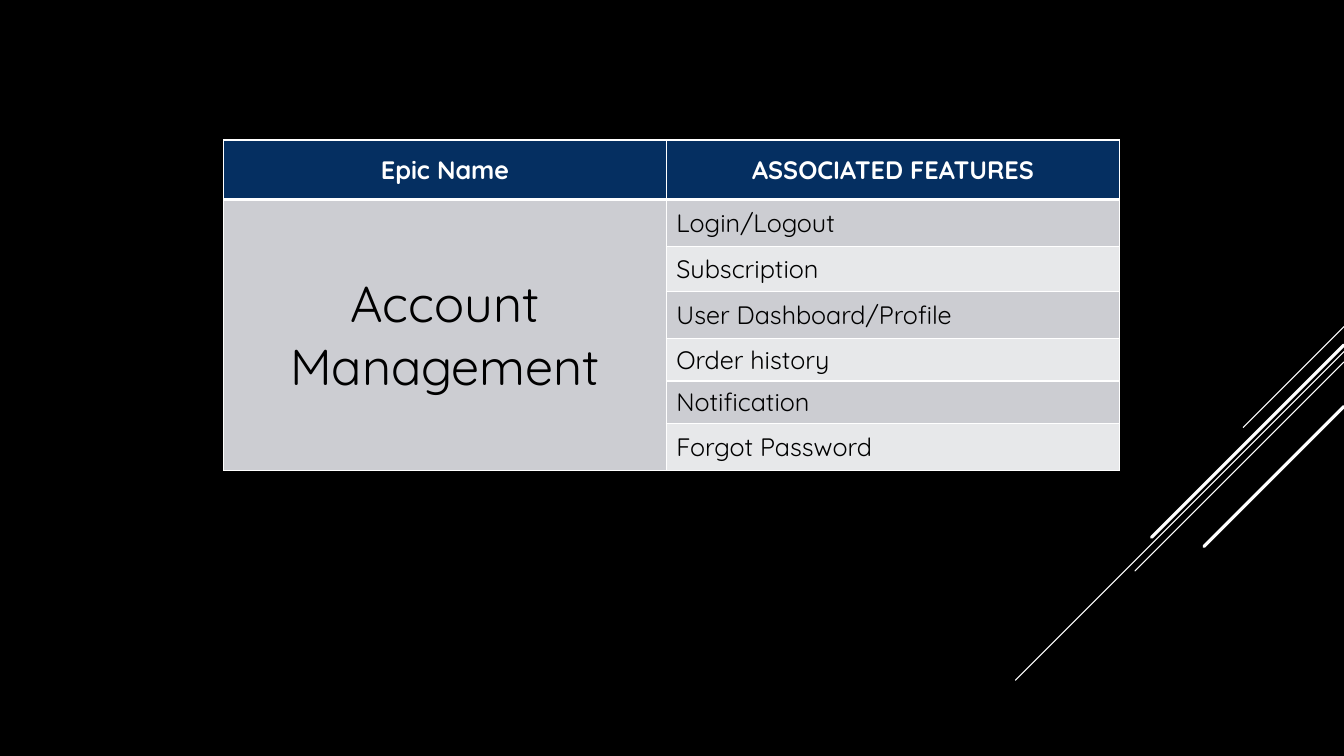
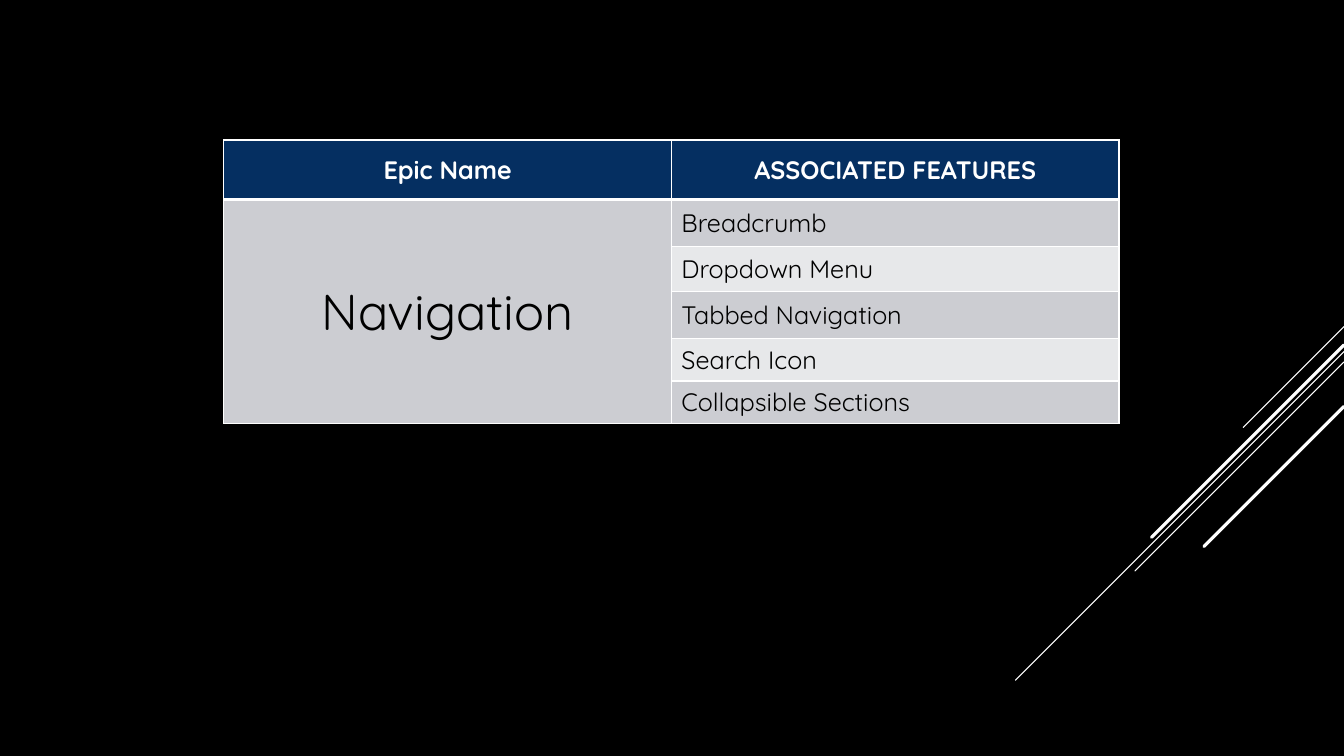
import dataclasses

import pptx
import pptx.dml.color
import pptx.enum.shapes
import pptx.enum.text
import pptx.oxml
import pptx.oxml.ns
import pptx.slide
import pptx.table
import pptx.util

Cm = pptx.util.Cm
Pt = pptx.util.Pt
RGBColor = pptx.dml.color.RGBColor
Align = pptx.enum.text.PP_ALIGN
qn = pptx.oxml.ns.qn

BLACK = RGBColor(0x00, 0x00, 0x00)
WHITE = RGBColor(0xFF, 0xFF, 0xFF)
NAVY = RGBColor(0x05, 0x2F, 0x61)
GREY = RGBColor(0xCC, 0xCD, 0xD2)
PALE = RGBColor(0xE7, 0xE8, 0xEA)
FONT = "Quicksand"

WIDE, HIGH = 33.87, 19.05
LEFT, TOP = 5.64, 3.53
ROWS = (1.5, 1.19, 1.12, 1.19, 1.07, 1.07, 1.19)
HEADS = ("Epic Name", "ASSOCIATED FEATURES")


@dataclasses.dataclass(frozen=True)
class Ray:
    """A 45-degree line running down and left from the right edge, in cm."""
    top: float
    reach: float
    weight: float


@dataclasses.dataclass(frozen=True)
class Epic:
    name: str
    items: tuple[str, ...]
    cols: tuple[float, float]


RAYS = (
    Ray(8.23, 2.54, 0.75),
    Ray(8.86, 8.28, 0.75),
    Ray(9.12, 5.27, 0.75),
    Ray(8.69, 4.85, 2.25),
    Ray(10.24, 3.53, 2.25),
)

EPICS = (
    Epic("Account\nManagement",
         ("Login/Logout", "Subscription", "User Dashboard/Profile",
          "Order history", "Notification", "Forgot Password"),
         (11.15, 11.43)),
    Epic("Navigation",
         ("Breadcrumb", "Dropdown Menu", "Tabbed Navigation",
          "Search Icon", "Collapsible Sections"),
         (11.28, 11.28)),
)


def write(cell: pptx.table._Cell, text: str, *, size: float = 18,
          color: RGBColor = BLACK, bold: bool = False,
          align: Align = Align.LEFT) -> None:
    cell.text = text
    cell.vertical_anchor = pptx.enum.text.MSO_ANCHOR.MIDDLE
    for para in cell.text_frame.paragraphs:
        para.alignment = align
        for run in para.runs:
            font = run.font
            font.name, font.size, font.bold = FONT, Pt(size), bold
            font.color.rgb = color


def paint(cell: pptx.table._Cell, fill: RGBColor, *, top: float = 1,
          base: float = 1) -> None:
    """Fill a cell and rule its four sides in white."""
    cell.fill.solid()
    cell.fill.fore_color.rgb = fill
    props = cell._tc.get_or_add_tcPr()
    sides = (("L", 1), ("R", 1), ("T", top), ("B", base))
    for spot, (side, weight) in enumerate(sides):
        props.insert(spot, pptx.oxml.parse_xml(
            f'<a:ln{side} {pptx.oxml.ns.nsdecls("a")} w="{Pt(weight)}">'
            f'<a:solidFill><a:srgbClr val="{WHITE}"/></a:solidFill>'
            f'</a:ln{side}>'))


def add_ray(slide: pptx.slide.Slide, ray: Ray) -> None:
    """Draw a ray and move it to the master, where all slides share it."""
    line = slide.shapes.add_connector(
        pptx.enum.shapes.MSO_CONNECTOR.STRAIGHT, Cm(WIDE), Cm(ray.top),
        Cm(WIDE - ray.reach), Cm(ray.top + ray.reach))
    line.line.color.rgb = WHITE
    line.line.width = Pt(ray.weight)
    props = line._element.spPr
    props.find(qn("a:ln")).set("cap", "rnd")
    props.append(pptx.oxml.parse_xml(
        f'<a:effectLst {pptx.oxml.ns.nsdecls("a")}/>'))
    master = slide.slide_layout.slide_master
    master.shapes._spTree.append(line._element)


def add_epic(slide: pptx.slide.Slide, epic: Epic) -> None:
    count = len(epic.items) + 1
    rows = ROWS[:count]
    grid = slide.shapes.add_table(
        count, 2, Cm(LEFT), Cm(TOP), Cm(sum(epic.cols)), Cm(sum(rows))).table
    for col, width in zip(grid.columns, epic.cols):
        col.width = Cm(width)
    for row, height in zip(grid.rows, rows):
        row.height = Cm(height)

    # Header row
    for col, head in enumerate(HEADS):
        cell = grid.cell(0, col)
        paint(cell, NAVY, base=3)
        write(cell, head, color=WHITE, bold=True, align=Align.CENTER)

    # Banded features beside the epic's column
    for row, item in enumerate(epic.items, 1):
        top = 3 if row == 1 else 1
        paint(grid.cell(row, 0), GREY, top=top)
        paint(grid.cell(row, 1), GREY if row % 2 else PALE, top=top)
        write(grid.cell(row, 1), item)

    # Epic name over all feature rows
    name = grid.cell(1, 0)
    name.merge(grid.cell(count - 1, 0))
    write(name, epic.name, size=36, align=Align.CENTER)


def main() -> None:
    deck = pptx.Presentation()
    deck.slide_width, deck.slide_height = Cm(WIDE), Cm(HIGH)
    back = deck.slide_master.background.fill
    back.solid()
    back.fore_color.rgb = BLACK

    blank = deck.slide_layouts.get_by_name("Blank")
    slides = [deck.slides.add_slide(blank) for _ in EPICS]
    for ray in RAYS:
        add_ray(slides[0], ray)
    for slide, epic in zip(slides, EPICS):
        add_epic(slide, epic)
    deck.save("out.pptx")


if __name__ == "__main__":
    main()
